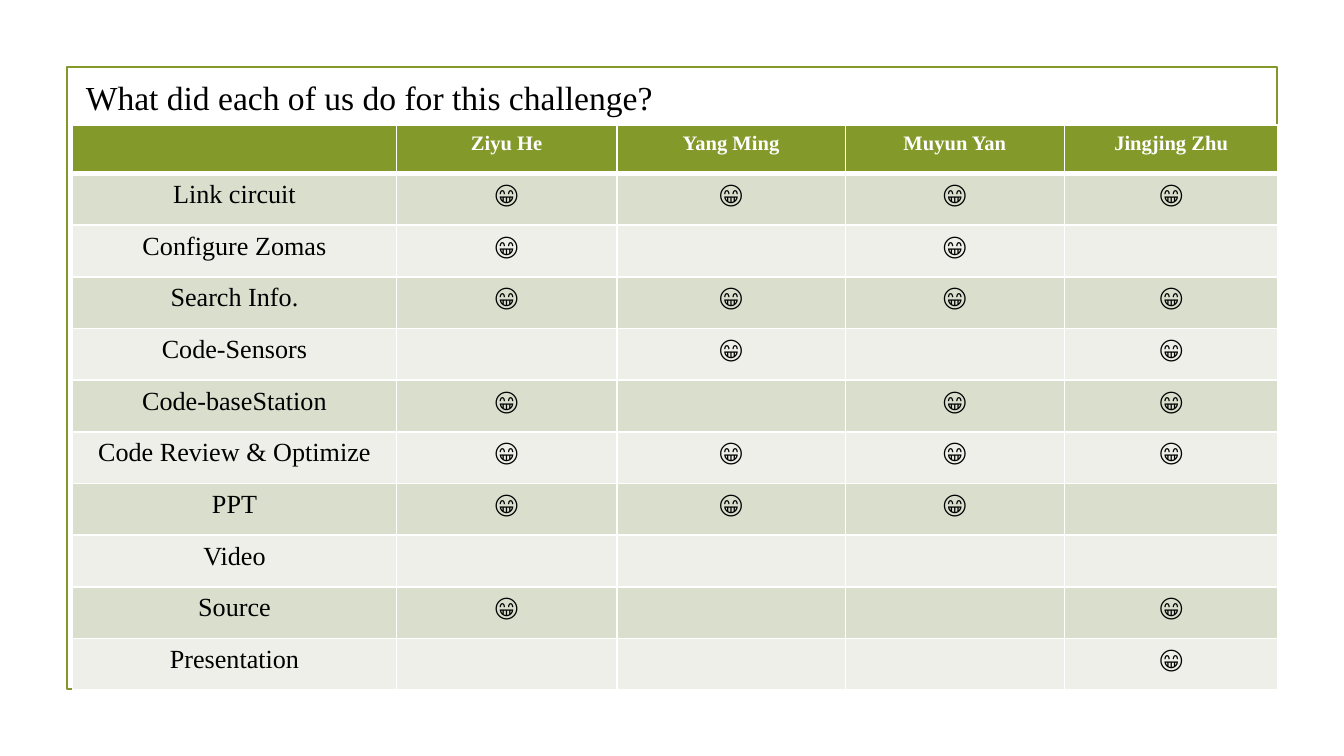
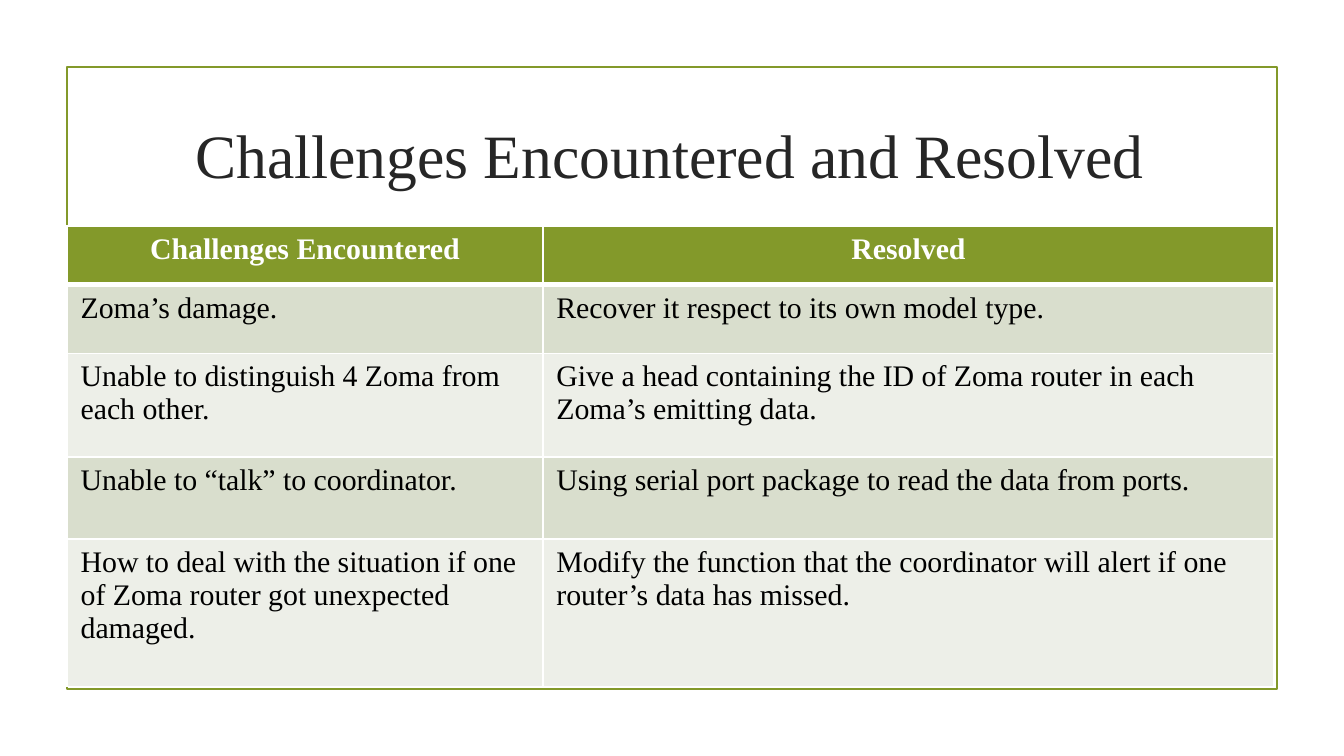
"""Build two framed slides: a task matrix and a list of challenges resolved."""
from dataclasses import dataclass

from lxml import etree
from pptx import Presentation
from pptx.dml.color import RGBColor
from pptx.enum.shapes import MSO_SHAPE
from pptx.enum.text import MSO_ANCHOR, PP_ALIGN
from pptx.oxml.ns import qn
from pptx.util import Inches, Pt

RECTANGLE = MSO_SHAPE.RECTANGLE
TOP, MIDDLE = MSO_ANCHOR.TOP, MSO_ANCHOR.MIDDLE
LEFT, CENTER = PP_ALIGN.LEFT, PP_ALIGN.CENTER

FONT = "Times New Roman"
GREEN, WHITE, BLACK, CHARCOAL = "83992A", "FFFFFF", "000000", "262626"
BANDS = ("D9DECD", "EDEFE8")
DONE = "😁"

MEMBERS = ("Ziyu He", "Yang Ming", "Muyun Yan", "Jingjing Zhu")
TASKS = {
    "Link circuit": (1, 1, 1, 1),
    "Configure Zomas": (1, 0, 1, 0),
    "Search Info.": (1, 1, 1, 1),
    "Code-Sensors": (0, 1, 0, 1),
    "Code-baseStation": (1, 0, 1, 1),
    "Code Review & Optimize": (1, 1, 1, 1),
    "PPT": (1, 1, 1, 0),
    "Video": (0, 0, 0, 0),
    "Source": (1, 0, 0, 1),
    "Presentation": (0, 0, 0, 1),
}
CHALLENGES = (
    ("Challenges Encountered", "Resolved"),
    ("Zoma’s damage.", "Recover it respect to its own model type."),
    ("Unable to distinguish 4 Zoma from each other.",
     "Give a head containing the ID of Zoma router in each Zoma’s emitting data."),
    ("Unable to “talk” to coordinator.",
     "Using serial port package to read the data from ports."),
    ("How to deal with the situation if one of Zoma router got unexpected damaged.",
     "Modify the function that the coordinator will alert if one router’s data has missed."),
)


@dataclass(frozen=True)
class Heading:
    """Wording, place and style of a slide heading."""
    text: str
    box: tuple
    size: float
    color: str
    align: PP_ALIGN = LEFT
    anchor: MSO_ANCHOR = TOP


@dataclass(frozen=True)
class Grid:
    """Content, measures and text style of a banded table."""
    rows: tuple
    left: float
    top: float
    widths: tuple
    heights: tuple
    header_size: float
    body_size: float
    body_align: PP_ALIGN


def rgb(value: str) -> RGBColor:
    """Turn a hex string into a colour."""
    return RGBColor.from_string(value)


def style_paragraph(paragraph, size: float, color: str, align: PP_ALIGN,
                    bold: bool = False) -> None:
    """Apply the shared font and the given style to a paragraph."""
    paragraph.alignment = align
    font = paragraph.font
    font.name, font.size, font.bold = FONT, Pt(size), bold
    font.color.rgb = rgb(color)


def draw_frame(slide) -> None:
    """Draw the green outline shared by the slides."""
    frame = slide.shapes.add_shape(
        RECTANGLE, Inches(0.5), Inches(0.5), Inches(9), Inches(4.63))
    frame.shadow.inherit = False
    frame.fill.background()
    frame.line.color.rgb = rgb(GREEN)
    frame.line.width = Pt(1.25)


def draw_heading(slide, heading: Heading) -> None:
    """Write the heading in its text box."""
    box = slide.shapes.add_textbox(*map(Inches, heading.box))
    frame = box.text_frame
    frame.word_wrap = True
    frame.vertical_anchor = heading.anchor
    frame.text = heading.text
    style_paragraph(frame.paragraphs[0], heading.size, heading.color, heading.align)


def draw_borders(cell, top: float, bottom: float) -> None:
    """Give a cell white borders, placed ahead of its fill."""
    properties = cell._tc.get_or_add_tcPr()
    sides = (("a:lnL", 1), ("a:lnR", 1), ("a:lnT", top), ("a:lnB", bottom))
    for position, (side, points) in enumerate(sides):
        border = etree.Element(qn(side), w=str(Pt(points)))
        fill = etree.SubElement(border, qn("a:solidFill"))
        etree.SubElement(fill, qn("a:srgbClr"), val=WHITE)
        properties.insert(position, border)


def draw_grid(slide, grid: Grid) -> None:
    """Draw a table with a green header and alternating bands."""
    table = slide.shapes.add_table(
        len(grid.heights), len(grid.widths), Inches(grid.left), Inches(grid.top),
        Inches(sum(grid.widths)), Inches(sum(grid.heights))).table
    for column, width in zip(table.columns, grid.widths):
        column.width = Inches(width)
    for index, (texts, height) in enumerate(zip(grid.rows, grid.heights)):
        table.rows[index].height = Inches(height)
        header = index == 0
        for column, text in enumerate(texts):
            cell = table.cell(index, column)
            cell.text = text
            cell.fill.solid()
            cell.fill.fore_color.rgb = rgb(GREEN if header else BANDS[(index - 1) % 2])
            draw_borders(cell, 3 if index == 1 else 1, 3 if header else 1)
            style_paragraph(
                cell.text_frame.paragraphs[0],
                grid.header_size if header else grid.body_size,
                WHITE if header else BLACK,
                CENTER if header else grid.body_align, header)


def main() -> None:
    """Build and save the presentation."""
    task_rows = (("", *MEMBERS),) + tuple(
        (task, *(DONE if mark else "" for mark in marks))
        for task, marks in TASKS.items())
    task_height = (4.21 - 0.36) / len(TASKS)
    pages = (
        (Heading("What did each of us do for this challenge?",
                 (0.54, 0.52, 5.45, 0.4), 18, BLACK),
         Grid(task_rows, 0.54, 0.93, (2.41, 1.64, 1.7, 1.63, 1.59),
              (0.36,) + (task_height,) * len(TASKS), 11, 14, CENTER)),
        (Heading("Challenges Encountered and Resolved",
                 (1.05, 0.61, 7.87, 1.07), 33, CHARCOAL, CENTER, MIDDLE),
         Grid(CHALLENGES, 0.5, 1.68, (3.54, 5.44),
              (0.44, 0.51, 0.77, 0.61, 1.1), 16, 16, LEFT)),
    )
    deck = Presentation()
    deck.slide_width, deck.slide_height = Inches(10), Inches(10 * 9 / 16)
    for heading, grid in pages:
        slide = deck.slides.add_slide(deck.slide_layouts[6])
        draw_frame(slide)
        draw_heading(slide, heading)
        draw_grid(slide, grid)
    deck.save("out.pptx")


if __name__ == "__main__":
    main()
